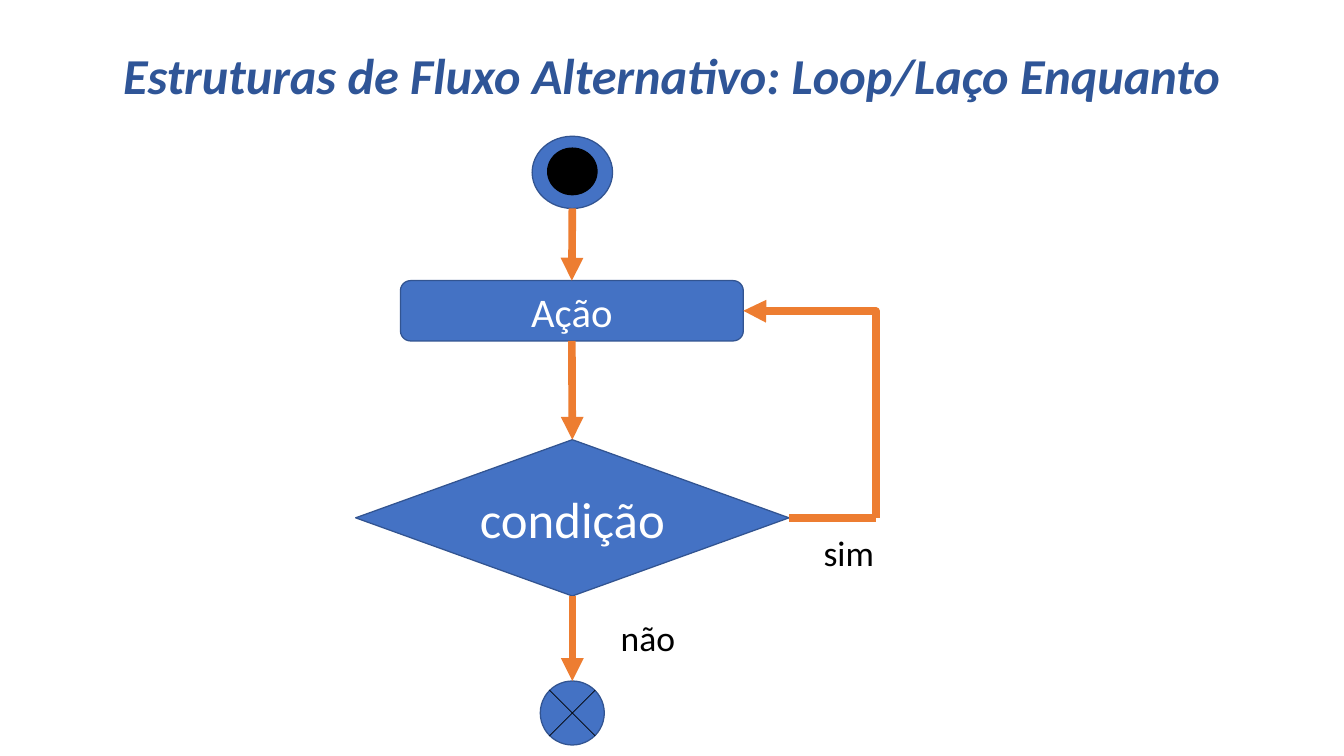
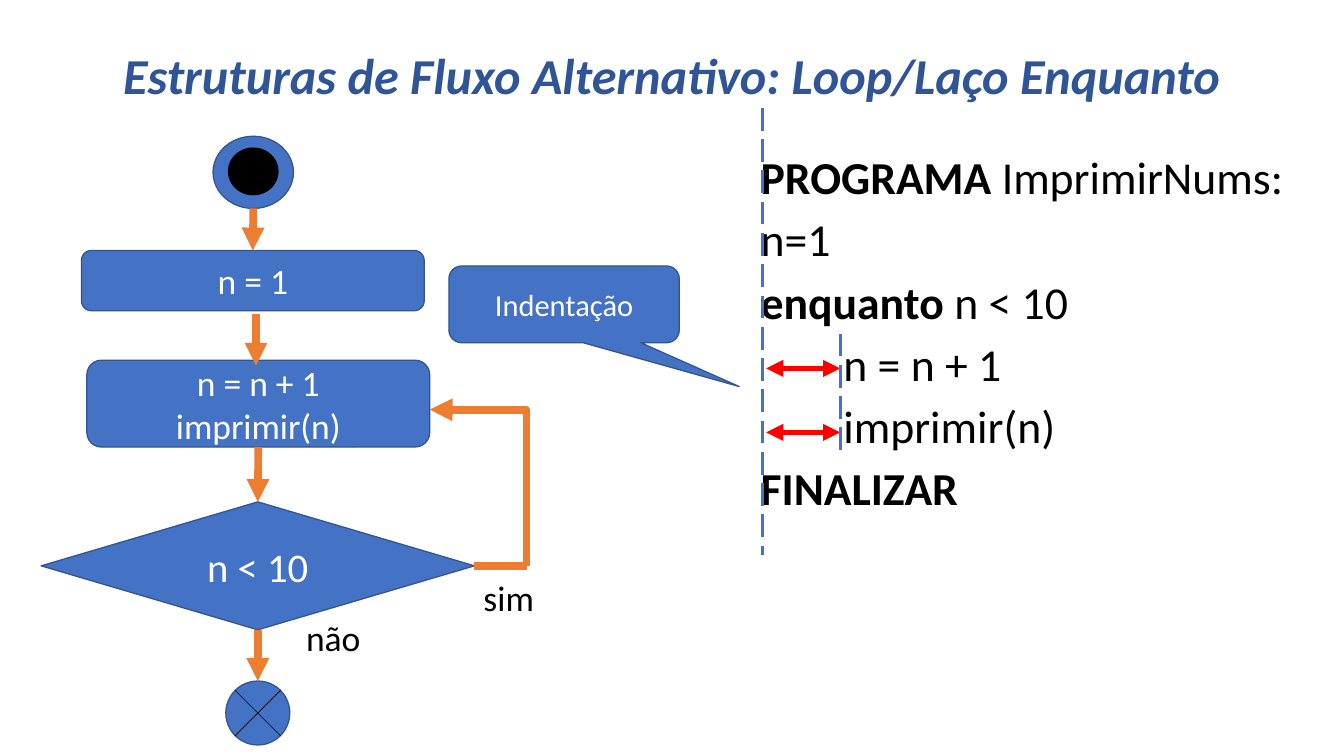
import pptx
import pptx.dml.color
import pptx.enum.dml
import pptx.enum.shapes
import pptx.enum.text
import pptx.oxml
import pptx.oxml.ns
import pptx.util

Inches = pptx.util.Inches
Pt = pptx.util.Pt
RGBColor = pptx.dml.color.RGBColor
SHAPE = pptx.enum.shapes.MSO_SHAPE
CONNECTOR = pptx.enum.shapes.MSO_CONNECTOR
ALIGN = pptx.enum.text.PP_ALIGN
ANCHOR = pptx.enum.text.MSO_ANCHOR
qn = pptx.oxml.ns.qn

BLUE = RGBColor(0x44, 0x72, 0xC4)
OUTLINE = RGBColor(0x32, 0x54, 0x91)
TITLE_BLUE = RGBColor(0x2F, 0x55, 0x97)
ORANGE = RGBColor(0xED, 0x7D, 0x31)
RED = RGBColor(0xFF, 0x00, 0x00)
BLACK = RGBColor(0x00, 0x00, 0x00)
WHITE = RGBColor(0xFF, 0xFF, 0xFF)
FONT = "Calibri"
TITLE = "Estruturas de Fluxo Alternativo: Loop/Laço Enquanto"

# Boxes are (left, top, width, height) in inches
FLOWS = [
    {"layout": 5, "start_x": 6.26, "center_x": 6.26,
     "steps": [((4.38, 3.07, 3.75, 0.66), "Ação", 32)],
     "test": ((3.89, 4.81, 4.74, 1.71), "condição", 40),
     "return_x": 9.58, "entry_y": 3.4, "yes": (8.91, 5.76), "no": (6.69, 6.69)},
    {"layout": 1, "start_x": 2.77, "center_x": 2.82,
     "steps": [((0.89, 2.74, 3.75, 0.66), "n = 1", 28),
               ((0.95, 3.94, 3.75, 0.95), "n = n + 1\nimprimir(n)", 28)],
     "test": ((0.45, 5.49, 4.74, 1.4), "n < 10", 32),
     "return_x": 5.76, "entry_y": 4.48, "yes": (5.19, 6.25), "no": (3.25, 6.69)},
]

# Each code line is (bold part, plain part)
CODE = [
    ("PROGRAMA ", "ImprimirNums:"),
    ("", "n=1"),
    ("enquanto", " n < 10"),
    ("", "        n = n + 1"),
    ("", "        imprimir(n)"),
    ("FINALIZAR", ""),
]


def add_node(page, kind, box, text="", size=28, fill=BLUE, outline=OUTLINE):
    node = page.shapes.add_shape(kind, *map(Inches, box))
    node.shadow.inherit = False
    node.fill.solid()
    node.fill.fore_color.rgb = fill
    node.line.color.rgb = outline
    node.line.width = Pt(1)
    if text:
        node.text_frame.text = text
        node.text_frame.vertical_anchor = ANCHOR.MIDDLE
        for para in node.text_frame.paragraphs:
            para.alignment = ALIGN.CENTER
            para.font.name = FONT
            para.font.size = Pt(size)
            para.font.color.rgb = WHITE
    return node


def add_line(page, start, end, color=ORANGE, width=6, arrows=("tailEnd",),
             kind=CONNECTOR.STRAIGHT):
    line = page.shapes.add_connector(kind, *map(Inches, (*start, *end)))
    line.line.color.rgb = color
    line.line.width = Pt(width)
    properties = line._element.spPr
    outline = properties.find(qn("a:ln"))
    for arrow in arrows:
        outline.append(pptx.oxml.parse_xml(
            f'<a:{arrow} {pptx.oxml.ns.nsdecls("a")} type="triangle"/>'))
    properties.append(pptx.oxml.parse_xml(
        f'<a:effectLst {pptx.oxml.ns.nsdecls("a")}/>'))
    return line


deck = pptx.Presentation()
deck.slide_width = Inches(14.7)
deck.slide_height = Inches(8.27)

for flow in FLOWS:
    page = deck.slides.add_slide(deck.slide_layouts[flow["layout"]])

    title = page.shapes.title
    title.left, title.top, title.width, title.height = map(Inches, (1.01, 0.34, 12.68, 1.03))
    title.text_frame.text = TITLE
    title.text_frame.vertical_anchor = ANCHOR.MIDDLE
    para = title.text_frame.paragraphs[0]
    para.alignment = ALIGN.CENTER
    para.line_spacing = 0.9
    para.font.name = FONT
    para.font.size = Pt(39.6)
    para.font.bold = para.font.italic = True
    para.font.color.rgb = TITLE_BLUE

    # Start marker, steps and test
    start_x, center_x = flow["start_x"], flow["center_x"]
    add_node(page, SHAPE.OVAL, (start_x - 0.44, 1.49, 0.88, 0.79))
    add_node(page, SHAPE.OVAL, (start_x - 0.27, 1.62, 0.54, 0.51), fill=BLACK, outline=BLACK)
    steps = [add_node(page, SHAPE.ROUNDED_RECTANGLE, *step) for step in flow["steps"]]
    test = add_node(page, SHAPE.DIAMOND, *flow["test"])

    # End marker with its cross
    end_y, arm = 7.8, 0.25
    end_marker = add_node(page, SHAPE.OVAL, (center_x - 0.35, end_y - 0.35, 0.7, 0.7))
    for rise in (arm, -arm):
        add_line(page, (center_x - arm, end_y - rise), (center_x + arm, end_y + rise),
                 BLACK, 0.5, ())

    # Downward arrows
    first_box, last_box, test_box = flow["steps"][0][0], flow["steps"][-1][0], flow["test"][0]
    arrow = add_line(page, (start_x, 2.28), (start_x, first_box[1]))
    arrow.end_connect(steps[0], 0)
    arrow = add_line(page, (center_x, last_box[1] + last_box[3]), (center_x, test_box[1]))
    arrow.begin_connect(steps[-1], 2)
    arrow.end_connect(test, 0)
    arrow = add_line(page, (center_x, test_box[1] + test_box[3]), (center_x, end_y - 0.35))
    arrow.begin_connect(test, 2)
    arrow.end_connect(end_marker, 0)

    # Way back: a stub to the right, then an elbow up and left into the last step
    return_x, entry_y = flow["return_x"], flow["entry_y"]
    test_y = test_box[1] + test_box[3] / 2
    stub = add_line(page, (test_box[0] + test_box[2], test_y), (return_x, test_y), arrows=())
    stub.begin_connect(test, 3)
    entry_x = last_box[0] + last_box[2]
    run, rise = return_x - entry_x, test_y - entry_y
    left = (entry_x + return_x - rise) / 2
    top = (entry_y + test_y - run) / 2
    elbow = add_line(page, (left, top), (left + rise, top + run), kind=CONNECTOR.ELBOW)
    frame = elbow._element.spPr.find(qn("a:xfrm"))
    frame.set("rot", str(270 * 60000))
    frame.set("flipV", "1")
    bend = elbow._element.spPr.find(qn("a:prstGeom")).get_or_add_avLst()
    bend.append(pptx.oxml.parse_xml(
        f'<a:gd {pptx.oxml.ns.nsdecls("a")} name="adj1" fmla="val 99800"/>'))

    for text, place, width in (("não", flow["no"], 0.8), ("sim", flow["yes"], 0.76)):
        label = page.shapes.add_textbox(*map(Inches, (*place, width, 0.57)))
        label.text_frame.text = text
        label.text_frame.word_wrap = False
        para = label.text_frame.paragraphs[0]
        para.font.name = FONT
        para.font.size = Pt(28)
        para.font.color.rgb = BLACK

# The second page also shows the program and its indentation
add_line(page, (2.8, 3.43), (2.8, 4))

body = page.placeholders[1]
body.left, body.top, body.width, body.height = map(Inches, (8.22, 1.65, 6.27, 6.28))
body.text_frame.auto_size = pptx.enum.text.MSO_AUTO_SIZE.NONE
body.text_frame.vertical_anchor = ANCHOR.TOP
for number, parts in enumerate(CODE):
    para = body.text_frame.add_paragraph() if number else body.text_frame.paragraphs[0]
    properties = para._p.get_or_add_pPr()
    properties.set("marL", "0")
    properties.set("indent", "0")
    properties.append(pptx.oxml.parse_xml(f'<a:buNone {pptx.oxml.ns.nsdecls("a")}/>'))
    para.line_spacing = 0.9
    para.space_before = Pt(10 if number else 0)
    for text, bold in zip(parts, (True, False)):
        if text:
            span = para.add_run()
            span.text = text
            span.font.name = FONT
            span.font.size = Pt(36)
            span.font.bold = bold
            span.font.color.rgb = BLACK

for y in (4.73, 4.03):
    add_line(page, (8.38, y), (9.19, y), RED, 4.5, ("headEnd", "tailEnd"))

callout = add_node(page, SHAPE.ROUNDED_RECTANGULAR_CALLOUT, (4.91, 2.91, 2.52, 0.84),
                   "Indentação", 24)
callout.adjustments[0] = 0.76
callout.adjustments[1] = 1.07

for x, top, bottom in ((8.34, 1.18, 6.07), (9.19, 3.65, 4.98)):
    guide = add_line(page, (x, top), (x, bottom), BLUE, 2.25, ())
    guide.line.dash_style = pptx.enum.dml.MSO_LINE.LONG_DASH

deck.save("out.pptx")
